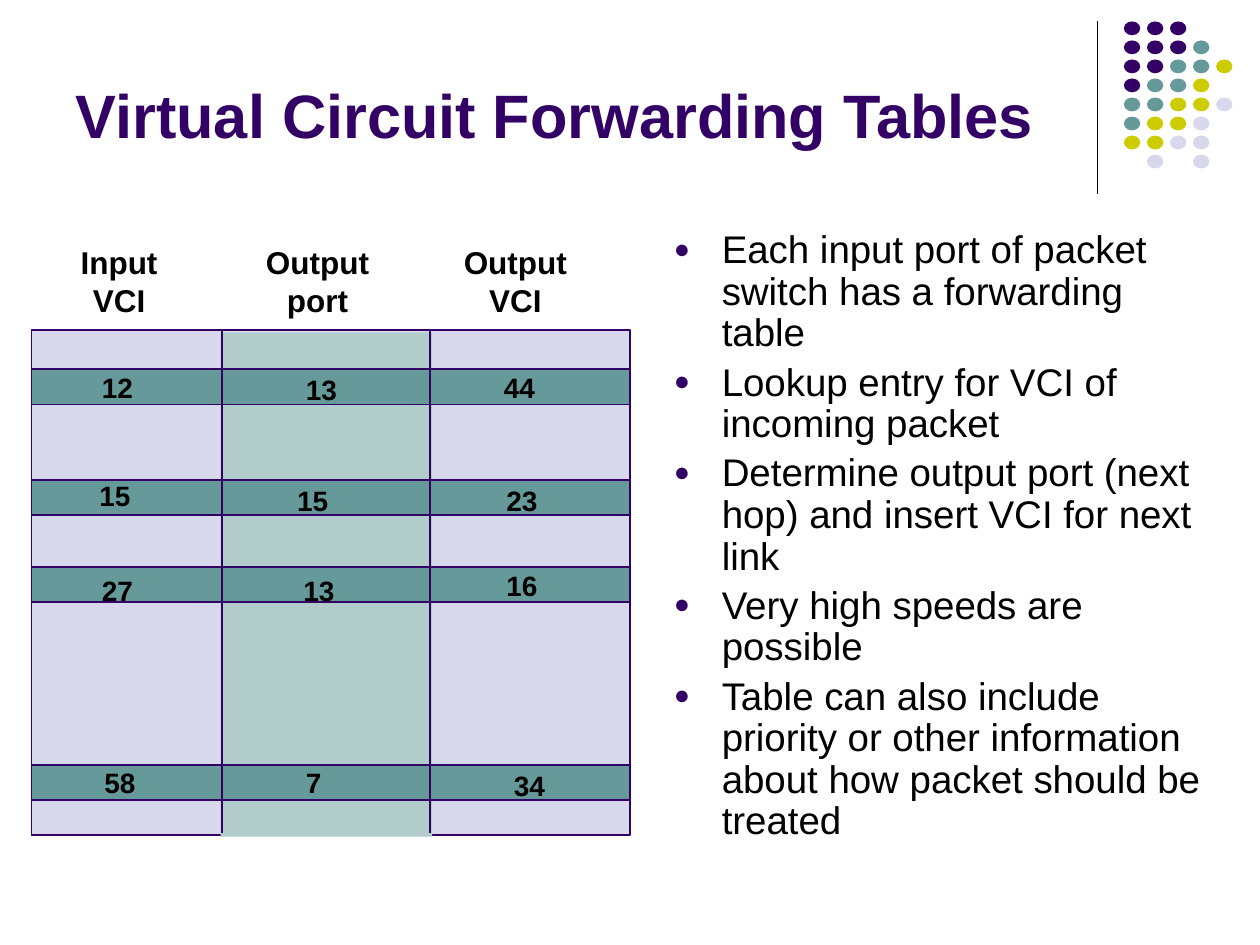
from dataclasses import dataclass

from lxml.etree import SubElement
from pptx import Presentation
from pptx.dml.color import RGBColor
from pptx.enum.shapes import MSO_CONNECTOR, MSO_SHAPE
from pptx.enum.text import MSO_ANCHOR, MSO_AUTO_SIZE, PP_ALIGN
from pptx.oxml.ns import qn
from pptx.slide import Slide
from pptx.util import Inches, Pt


@dataclass(frozen=True)
class Theme:
    """Colours, type sizes and font of the slide."""
    font: str = "Arial"
    ink: str = "000000"
    dark: str = "330066"
    teal: str = "669999"
    lime: str = "CCCC00"
    pale: str = "D8D8EC"
    mint: str = "B1CCCB"
    title: int = 35
    body: int = 22
    head: int = 18
    cell: int = 16


@dataclass(frozen=True)
class Box:
    """A filled shape in inches."""
    left: float
    top: float
    width: float
    height: float
    fill: str
    line: str = ""
    kind: MSO_SHAPE = MSO_SHAPE.RECTANGLE


@dataclass(frozen=True)
class Rule:
    """An upright line in inches."""
    left: float
    top: float
    end: float
    color: str
    weight: float


@dataclass(frozen=True)
class Label:
    """Bold text that does not wrap, one paragraph per line."""
    lines: tuple[str, ...]
    left: float
    top: float
    width: float
    height: float
    size: int
    align: PP_ALIGN = PP_ALIGN.LEFT


THEME = Theme()
DOTS = ("ddd", "dddt", "ddttl", "dttl", "ttllp", "tllp", "llpp", " p p")
HUES = {"d": THEME.dark, "t": THEME.teal, "l": THEME.lime, "p": THEME.pale}
HEADS = (("Input", "VCI", 0.54, 0.81), ("Output", "port", 2.01, 1.02),
         ("Output", "VCI", 3.58, 1.02))
BANDS = (2.93, 3.81, 4.5, 6.07)
CELLS = (
    ("12", 0.71, 2.89), ("13", 2.33, 2.91), ("44", 3.9, 2.89),
    ("15", 0.69, 3.75), ("15", 2.26, 3.79), ("23", 3.92, 3.79),
    ("27", 0.71, 4.5), ("13", 2.31, 4.5), ("16", 3.92, 4.46),
    ("58", 0.73, 6.03), ("7", 2.33, 6.03), ("34", 3.98, 6.05),
)
POINTS = (
    "Each input port of packet switch has a forwarding table",
    "Lookup entry for VCI of incoming packet",
    "Determine output port (next hop) and insert VCI for next link",
    "Very high speeds are possible",
    "Table can also include priority or other information about how packet should be treated",
)


def add_run(para, text: str, size: int, color: str, bold: bool = False) -> None:
    """Add one styled run to a paragraph."""
    run = para.add_run()
    run.text = text
    run.font.name = THEME.font
    run.font.size = Pt(size)
    run.font.bold = bold
    run.font.color.rgb = RGBColor.from_string(color)


def draw_box(slide: Slide, box: Box) -> None:
    """Draw a filled shape, outlined if it has a line colour."""
    shape = slide.shapes.add_shape(box.kind, Inches(box.left), Inches(box.top),
                                   Inches(box.width), Inches(box.height))
    shape.shadow.inherit = False
    shape.fill.solid()
    shape.fill.fore_color.rgb = RGBColor.from_string(box.fill)
    if box.line:
        shape.line.color.rgb = RGBColor.from_string(box.line)
        shape.line.width = Pt(1)
    else:
        shape.line.fill.background()


def draw_rule(slide: Slide, rule: Rule) -> None:
    """Draw an upright line without shadow."""
    line = slide.shapes.add_connector(MSO_CONNECTOR.STRAIGHT, Inches(rule.left), Inches(rule.top),
                                      Inches(rule.left), Inches(rule.end))
    line.line.color.rgb = RGBColor.from_string(rule.color)
    line.line.width = Pt(rule.weight)
    SubElement(line._element.spPr, qn("a:effectLst"))


def draw_label(slide: Slide, label: Label) -> None:
    """Draw a label of the table."""
    frame = slide.shapes.add_textbox(Inches(label.left), Inches(label.top), Inches(label.width),
                                     Inches(label.height)).text_frame
    frame.word_wrap = False
    frame.auto_size = MSO_AUTO_SIZE.SHAPE_TO_FIT_TEXT
    for num, text in enumerate(label.lines):
        para = frame.add_paragraph() if num else frame.paragraphs[0]
        para.alignment = label.align
        add_run(para, text, label.size, THEME.ink, True)


def draw_title(slide: Slide, text: str) -> None:
    """Place and fill the title."""
    title = slide.shapes.title
    title.left, title.top = Inches(0.5), Inches(0.13)
    title.width, title.height = Inches(8.25), Inches(1.12)
    frame = title.text_frame
    frame.word_wrap = True
    frame.auto_size = MSO_AUTO_SIZE.NONE
    frame.vertical_anchor = MSO_ANCHOR.BOTTOM
    para = frame.paragraphs[0]
    para.alignment = PP_ALIGN.LEFT
    add_run(para, text, THEME.title, THEME.dark, True)


def add_mark(para) -> None:
    """Give a paragraph a hanging round bullet."""
    props = para._p.get_or_add_pPr()
    props.set("marL", str(Inches(0.38)))
    props.set("indent", str(-Inches(0.38)))
    SubElement(SubElement(props, qn("a:buClr")), qn("a:srgbClr"), val=THEME.dark)
    SubElement(props, qn("a:buSzPct"), val="70000")
    SubElement(props, qn("a:buFont"), typeface=THEME.font)
    SubElement(props, qn("a:buChar"), char="●")


def draw_points(slide: Slide) -> None:
    """Draw the bullet list."""
    frame = slide.shapes.add_textbox(Inches(5.25), Inches(1.78), Inches(4.42),
                                     Inches(5.12)).text_frame
    frame.word_wrap = True
    for num, text in enumerate(POINTS):
        para = frame.add_paragraph() if num else frame.paragraphs[0]
        add_mark(para)
        para.line_spacing = 0.9
        para.space_before = Pt(4.4 if num else 0)
        add_run(para, text, THEME.body, THEME.ink)


def draw_dots(slide: Slide) -> None:
    """Draw the corner grid of dots and its rule."""
    draw_rule(slide, Rule(8.71, 0.17, 1.54, THEME.ink, 0.75))
    for row, marks in enumerate(DOTS):
        for col, mark in enumerate(marks):
            if mark in HUES:
                draw_box(slide, Box(8.92 + 0.183 * col, 0.17 + 0.151 * row, 0.13, 0.11,
                                    HUES[mark], kind=MSO_SHAPE.OVAL))


def draw_grid(slide: Slide) -> None:
    """Draw the forwarding table."""
    draw_box(slide, Box(0.25, 2.62, 4.75, 4.01, THEME.pale, THEME.dark))
    draw_box(slide, Box(1.75, 2.64, 1.68, 4, THEME.mint))
    for top in BANDS:
        draw_box(slide, Box(0.25, top, 4.75, 0.28, THEME.teal, THEME.dark))
    for left in (1.76, 3.41):
        draw_rule(slide, Rule(left, 2.61, 6.61, THEME.dark, 1))
    for first, last, left, width in HEADS:
        draw_label(slide, Label((first, last), left, 1.88, width, 0.7, THEME.head,
                                PP_ALIGN.CENTER))
    for text, left, top in CELLS:
        width = 0.2 + 0.13 * len(text)
        draw_label(slide, Label((text,), left, top, width, 0.36, THEME.cell))


def main() -> None:
    """Build and save the slide."""
    deck = Presentation()
    deck.slide_width, deck.slide_height = Inches(10), Inches(7.5)
    slide = deck.slides.add_slide(deck.slide_layouts[5])
    draw_dots(slide)
    draw_grid(slide)
    draw_title(slide, "Virtual Circuit Forwarding Tables")
    draw_points(slide)
    deck.save("out.pptx")


if __name__ == "__main__":
    main()
